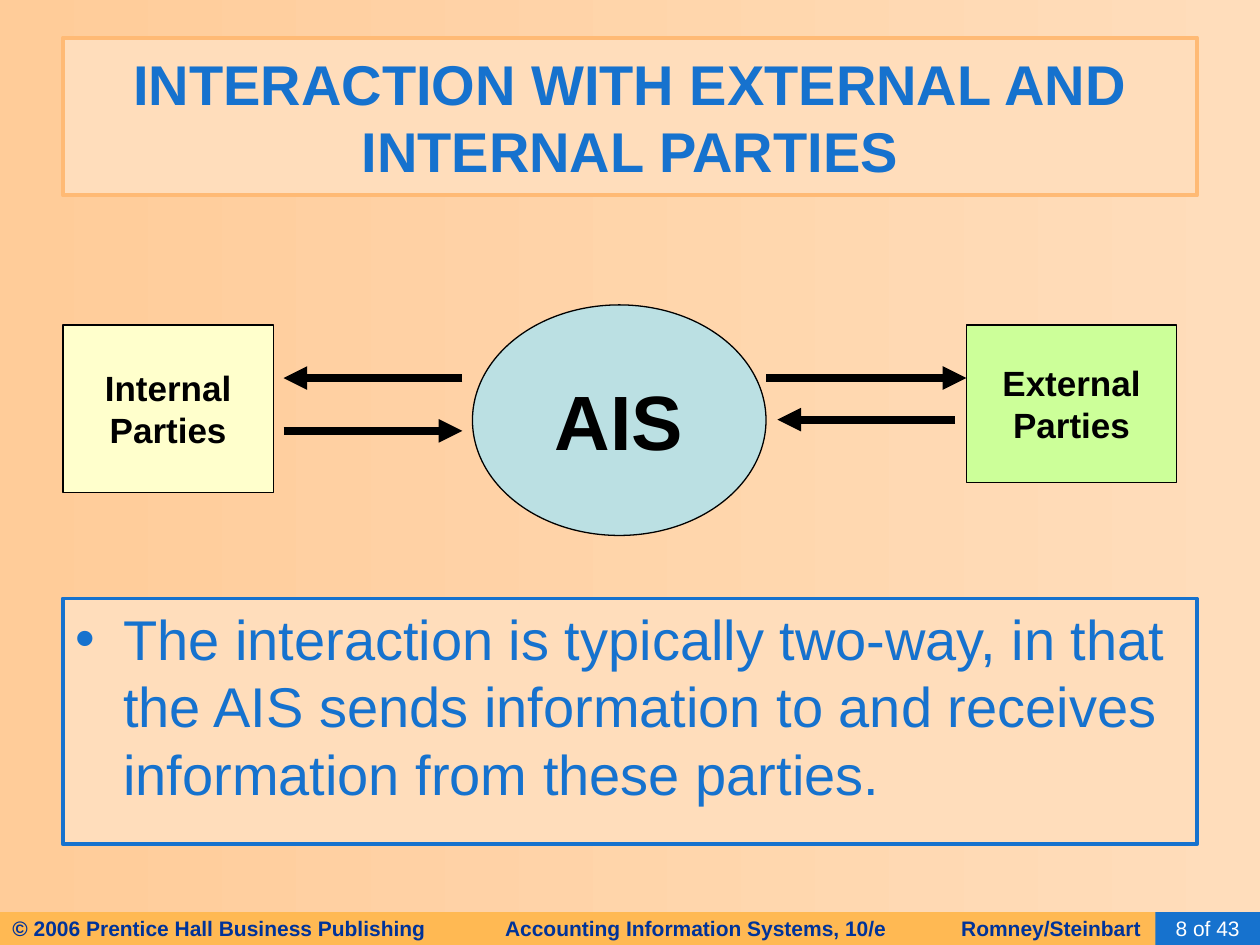
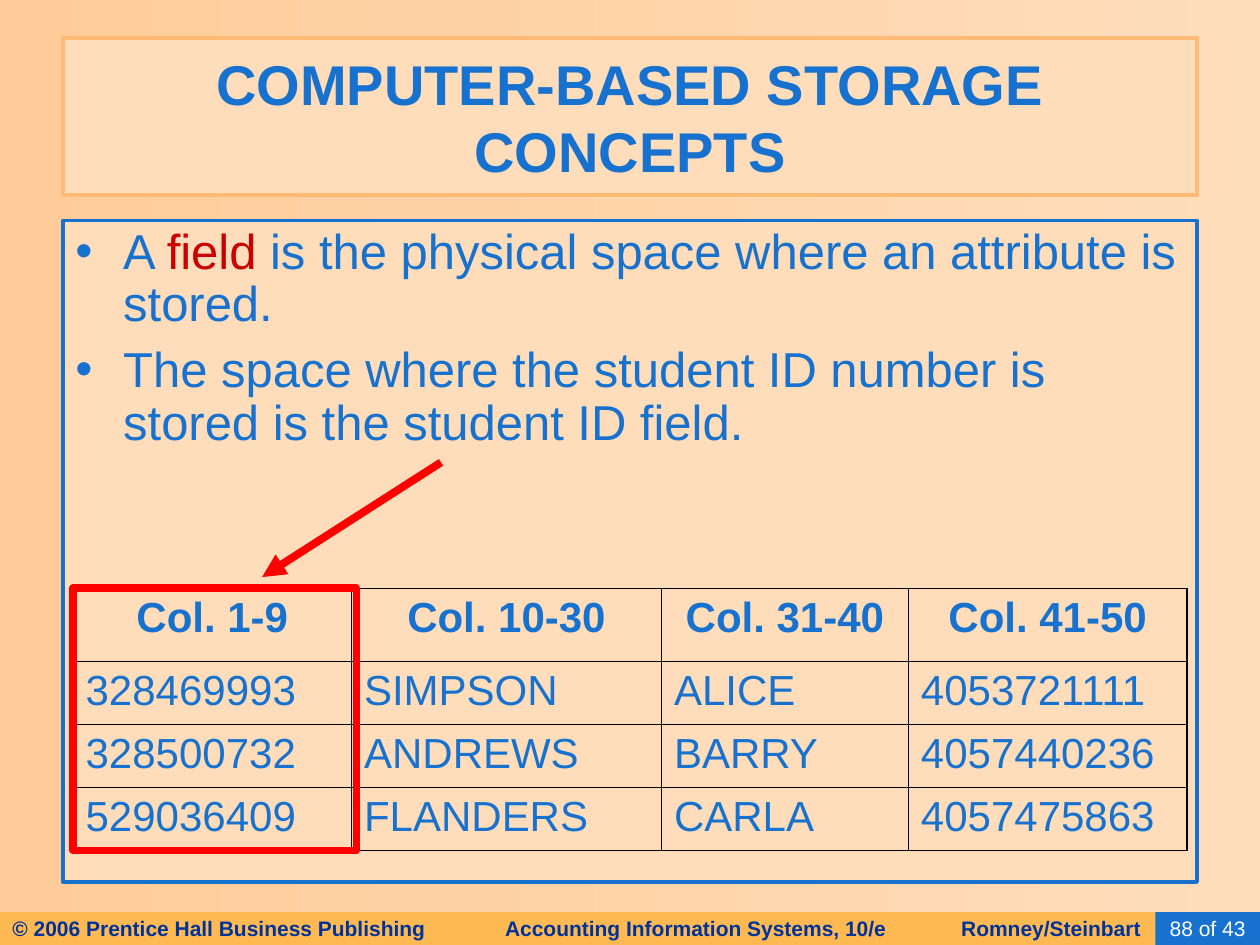
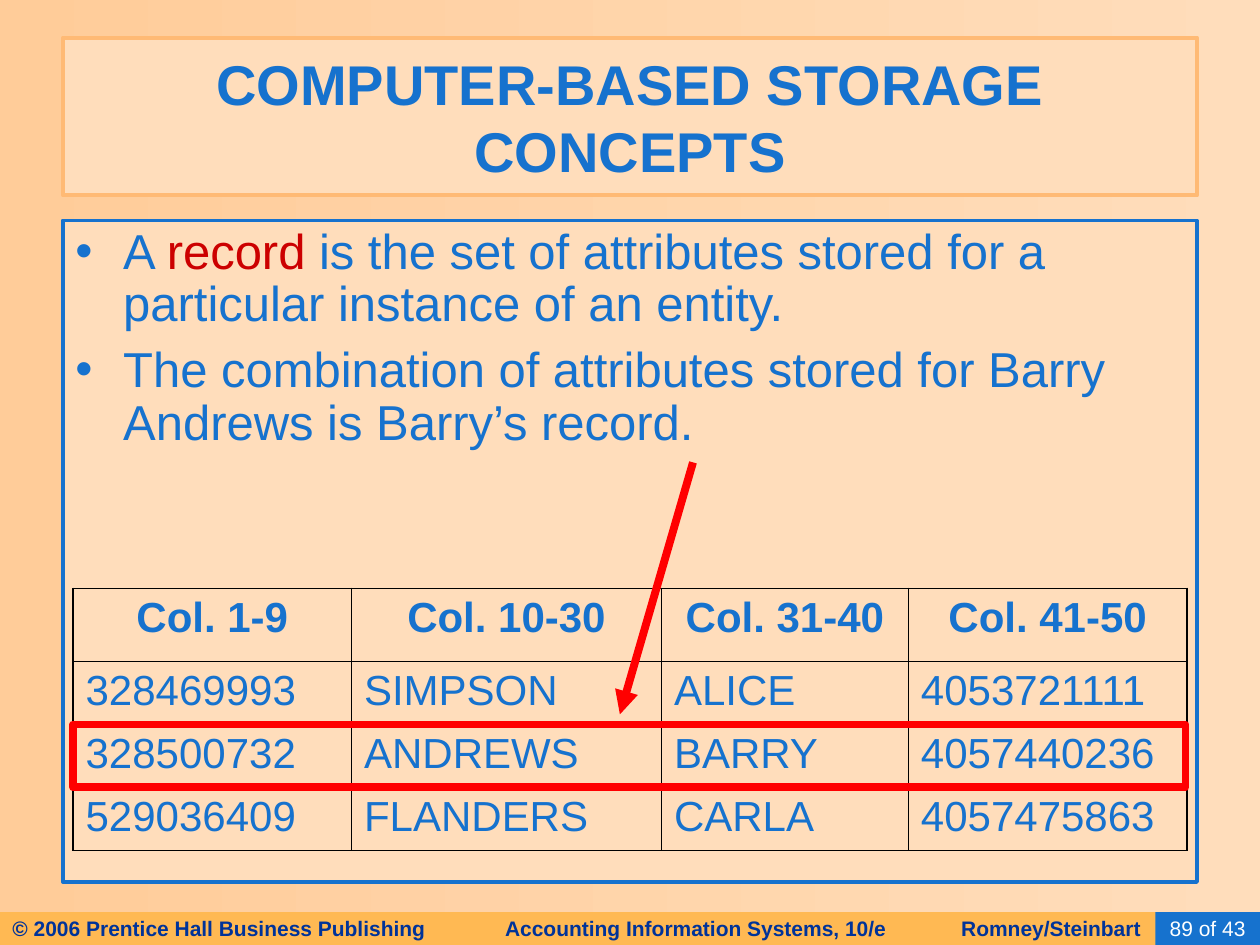
from dataclasses import dataclass
from itertools import product
from typing import NamedTuple, Optional

from lxml.etree import SubElement
from pptx import Presentation
from pptx.dml.color import RGBColor
from pptx.enum.shapes import MSO_CONNECTOR as Connector, MSO_SHAPE as Preset
from pptx.enum.text import MSO_ANCHOR as Anchor, MSO_AUTO_SIZE as AutoSize, PP_ALIGN as Align
from pptx.oxml.ns import qn
from pptx.util import Inches, Pt

# Shared look
FONT = "Arial"
BLUE, NAVY, BLACK, WHITE = "1672CE", "003399", "000000", "FFFFFF"
PEACH, APRICOT, TITLE_EDGE, BAND = "FFDDBB", "FFCC99", "FFBA75", "FFB953"
RED, KEYWORD = "FF0000", "CC0000"

PAGE_COUNT = 43
FOOTER_PARTS = ("© 2006 Prentice Hall Business Publishing",
                "Accounting Information Systems, 10/e", "Romney/Steinbart")
FOOTER_TABS = (3.91, 7.53)


class Box(NamedTuple):
    left: float
    top: float
    width: float
    height: float


class Arrow(NamedTuple):
    x1: float
    y1: float
    x2: float
    y2: float
    color: str


@dataclass
class Party:
    label: str
    box: Box
    fill: str
    preset: Preset = Preset.RECTANGLE
    size: int = 20


@dataclass
class StorageSlide:
    page: int
    keyword: str
    definition: str
    example: str
    highlight: Box
    arrow: Arrow


TITLE_BOX = Box(0.5, 0.3, 9, 1.25)
FOOTER_BOX = Box(0, 7.24, 9.25, 0.26)
PAGE_BOX = Box(9.17, 7.24, 0.83, 0.26)
STORAGE_BODY = Box(0.5, 1.75, 9, 5.25)

# Interaction diagram
PARTIES = (
    Party("AIS", Box(3.75, 2.42, 2.33, 1.83), "BBE0E3", Preset.OVAL, 44),
    Party("Internal\nParties", Box(0.5, 2.58, 1.67, 1.33), "FFFFCC"),
    Party("External\nParties", Box(7.67, 2.58, 1.67, 1.25), "CCFF99"),
)
FLOWS = (
    Arrow(6.08, 3, 7.67, 3, BLACK),
    Arrow(7.58, 3.33, 6.17, 3.33, BLACK),
    Arrow(3.67, 3, 2.25, 3, BLACK),
    Arrow(2.25, 3.42, 3.67, 3.42, BLACK),
)

# Student file table
TABLE_BOX = Box(0.58, 4.67, 8.83, 2.08)
COLUMN_WIDTHS = (2.21, 2.46, 1.96, 2.21)
ROW_HEIGHTS = (0.58, 0.5, 0.5, 0.5)
STUDENTS = (
    ("Col. 1-9", "Col. 10-30", "Col. 31-40", "Col. 41-50"),
    ("328469993", "SIMPSON", "ALICE", "4053721111"),
    ("328500732", "ANDREWS", "BARRY", "4057440236"),
    ("529036409", "FLANDERS", "CARLA", "4057475863"),
)
STORAGE_SLIDES = (
    StorageSlide(88, "field", " is the physical space where an attribute is stored.",
                 "The space where the student ID number is stored is the student ID field.",
                 Box(0.58, 4.67, 2.25, 2.08), Arrow(3.5, 3.67, 2.08, 4.58, RED)),
    StorageSlide(89, "record",
                 " is the set of attributes stored for a particular instance of an entity.",
                 "The combination of attributes stored for Barry Andrews is Barry’s record.",
                 Box(0.58, 5.75, 8.83, 0.5), Arrow(5.5, 3.67, 4.92, 5.67, RED)),
)


def rgb(value: str) -> RGBColor:
    return RGBColor.from_string(value)


def inches(box: Box) -> list:
    return [Inches(length) for length in box]


def add_bullet(paragraph, color: str) -> None:
    properties = paragraph._p.get_or_add_pPr()
    properties.set("marL", str(Inches(0.38)))
    properties.set("indent", str(-Inches(0.38)))
    SubElement(SubElement(properties, qn("a:buClr")), qn("a:srgbClr"), val=color)
    SubElement(properties, qn("a:buFont"), typeface=FONT)
    SubElement(properties, qn("a:buChar"), char="•")


def add_tabs(paragraph, stops) -> None:
    tab_list = SubElement(paragraph._p.get_or_add_pPr(), qn("a:tabLst"))
    for stop in stops:
        SubElement(tab_list, qn("a:tab"), pos=str(Inches(stop)), algn="l")


def write(frame, paragraphs, *, size: float, color: str = BLUE, bold: bool = False,
          align=Align.LEFT, anchor=Anchor.MIDDLE, wrap: bool = True,
          bullets: bool = False, tabs=(), gap: float = 0,
          spacing: Optional[float] = None) -> None:
    """Fill a frame; each paragraph is a list of (text, colour or None) runs."""
    frame.word_wrap = wrap
    frame.auto_size = AutoSize.NONE
    frame.vertical_anchor = anchor
    for index, runs in enumerate(paragraphs):
        paragraph = frame.add_paragraph() if index else frame.paragraphs[0]
        if bullets:
            add_bullet(paragraph, color)
        if tabs:
            add_tabs(paragraph, tabs)
        paragraph.alignment = align
        if spacing:
            paragraph.line_spacing = spacing
        if index and gap:
            paragraph.space_before = Pt(gap)
        for text, run_color in runs:
            run = paragraph.add_run()
            run.text = text
            run.font.name, run.font.size, run.font.bold = FONT, Pt(size), bold
            run.font.color.rgb = rgb(run_color or color)


def plain(text: str) -> list:
    return [[(line, None)] for line in text.split("\n")]


def paint(shape, fill: Optional[str], edge: Optional[str] = None, width: float = 0) -> None:
    if fill:
        shape.fill.solid()
        shape.fill.fore_color.rgb = rgb(fill)
    else:
        shape.fill.background()
    if edge:
        shape.line.color.rgb = rgb(edge)
        shape.line.width = Pt(width)
    else:
        shape.line.fill.background()


def add_panel(slide, box: Box, fill: Optional[str], edge: Optional[str] = None,
              width: float = 0, preset=Preset.RECTANGLE):
    panel = slide.shapes.add_shape(preset, *inches(box))
    panel.shadow.inherit = False
    paint(panel, fill, edge, width)
    return panel


def add_arrow(slide, arrow: Arrow) -> None:
    ends = [Inches(length) for length in arrow[:4]]
    connector = slide.shapes.add_connector(Connector.STRAIGHT, *ends)
    connector.line.color.rgb = rgb(arrow.color)
    connector.line.width = Pt(4.5)
    SubElement(connector.get_or_add_ln(), qn("a:tailEnd"), type="triangle")
    SubElement(connector.element.spPr, qn("a:effectLst"))


def add_body(slide, box: Box, paragraphs, **text_format) -> None:
    body = add_panel(slide, box, PEACH, BLUE, 2.25)
    write(body.text_frame, paragraphs, anchor=Anchor.TOP, bullets=True, **text_format)


def add_base_slide(prs, title_text: str, page: int):
    """Start a slide with its title, footer band and page number."""
    slide = prs.slides.add_slide(prs.slide_layouts[5])
    title = slide.shapes.title
    title.left, title.top, title.width, title.height = inches(TITLE_BOX)
    paint(title, PEACH, TITLE_EDGE, 2.5)
    write(title.text_frame, plain(title_text), size=32, bold=True, align=Align.CENTER)

    footer = add_panel(slide, FOOTER_BOX, BAND)
    write(footer.text_frame, plain("\t".join(FOOTER_PARTS)), size=12, color=NAVY,
          bold=True, tabs=FOOTER_TABS)
    page_number = add_panel(slide, PAGE_BOX, BLUE)
    write(page_number.text_frame, plain(f"{page} of {PAGE_COUNT}"), size=12,
          color=WHITE, align=Align.CENTER)
    return slide


def set_borders(cell, row: int, column: int) -> None:
    """Thicker lines on the outer edge of the table than inside it."""
    outer = {"lnL": column == 0, "lnR": column == len(COLUMN_WIDTHS) - 1,
             "lnT": row == 0, "lnB": row == len(ROW_HEIGHTS) - 1}
    properties = cell._tc.get_or_add_tcPr()
    for side, is_outer in outer.items():
        border = SubElement(properties, qn(f"a:{side}"), w=str(Pt(1.08 if is_outer else 0.45)))
        SubElement(SubElement(border, qn("a:solidFill")), qn("a:srgbClr"), val=BLACK)


def add_student_table(slide) -> None:
    table = slide.shapes.add_table(len(ROW_HEIGHTS), len(COLUMN_WIDTHS),
                                   *inches(TABLE_BOX)).table
    table.first_row = table.horz_banding = False
    for column, width in zip(table.columns, COLUMN_WIDTHS):
        column.width = Inches(width)
    for row, height in zip(table.rows, ROW_HEIGHTS):
        row.height = Inches(height)
    for row, column in product(range(len(ROW_HEIGHTS)), range(len(COLUMN_WIDTHS))):
        cell = table.cell(row, column)
        set_borders(cell, row, column)
        cell.fill.background()
        is_header = row == 0
        write(cell.text_frame, plain(STUDENTS[row][column]), size=24, bold=is_header,
              align=Align.CENTER if is_header else Align.LEFT, anchor=Anchor.TOP)
        cell.vertical_anchor = Anchor.TOP


def add_interaction_slide(prs) -> None:
    slide = add_base_slide(prs, "INTERACTION WITH EXTERNAL AND INTERNAL PARTIES", 8)
    add_body(slide, Box(0.5, 4.75, 9, 1.95),
             plain("The interaction is typically two-way, in that the AIS sends "
                   "information to and receives information from these parties."), size=32)
    for party in PARTIES:
        node = add_panel(slide, party.box, party.fill, BLACK, 0.75, party.preset)
        write(node.text_frame, plain(party.label), size=party.size, color=BLACK,
              bold=True, align=Align.CENTER, wrap=False)
    for flow in FLOWS:
        add_arrow(slide, flow)


def add_storage_slide(prs, content: StorageSlide) -> None:
    slide = add_base_slide(prs, "COMPUTER-BASED STORAGE CONCEPTS", content.page)
    definition = [("A ", None), (content.keyword, KEYWORD), (content.definition, None)]
    add_body(slide, STORAGE_BODY, [definition, [(content.example, None)]],
             size=28, gap=7, spacing=0.9)
    add_student_table(slide)
    add_panel(slide, content.highlight, None, RED, 4.5)
    add_arrow(slide, content.arrow)


def set_background(prs) -> None:
    fill = prs.slide_master.background.fill
    fill.gradient()
    fill.gradient_angle = 180
    for stop, color in zip(fill.gradient_stops, (PEACH, APRICOT)):
        stop.color.rgb = rgb(color)


def main() -> None:
    prs = Presentation()
    prs.slide_width, prs.slide_height = Inches(10), Inches(7.5)
    set_background(prs)
    add_interaction_slide(prs)
    for content in STORAGE_SLIDES:
        add_storage_slide(prs, content)
    prs.save("out.pptx")


if __name__ == "__main__":
    main()
